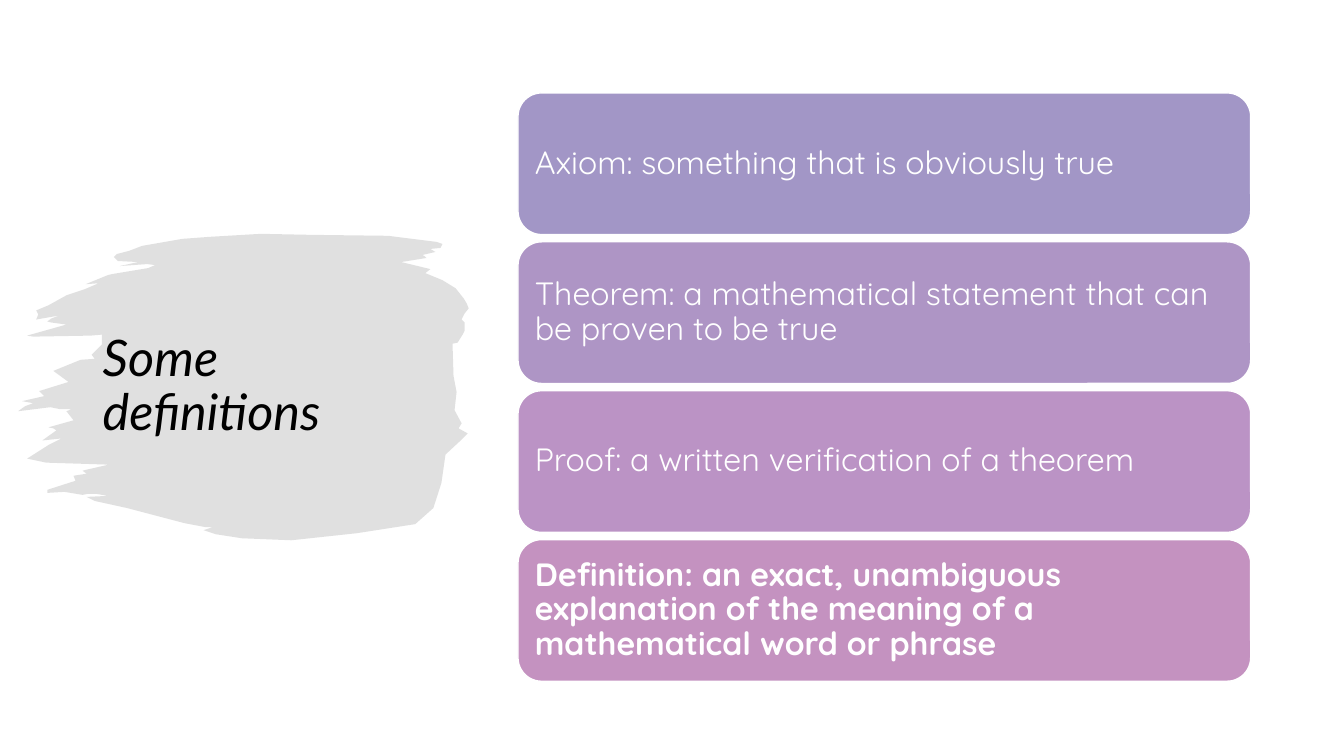
from dataclasses import dataclass

from lxml import etree
from pptx import Presentation
from pptx.dml.color import RGBColor
from pptx.enum import shapes, text
from pptx.oxml import ns
from pptx.util import Pt


@dataclass(frozen=True)
class Theme:
    head_font: str = "Lato"
    body_font: str = "Quicksand"
    head_size: float = 36
    body_size: float = 23
    ink: str = "000000"
    paper: str = "FFFFFF"
    brush: str = "D9D9D9"
    brush_alpha: int = 80
    cards: tuple = ("A296C6", "AE95C5", "BB93C5", "C492C0")


THEME = Theme()

CARDS = (
    "Axiom: something that is obviously true",
    "Theorem: a mathematical statement that can be proven to be true",
    "Proof: a written verification of a theorem",
    "Definition: an exact, unambiguous explanation of the meaning of a "
    "mathematical word or phrase",
)

# Outline of the brush stroke: x, y pairs in units of UNIT points
UNIT = 0.72
BRUSH = (
    259, 232, 307, 233, 385, 234, 433, 240, 439, 242, 437, 246, 427, 247,
    432, 250, 419, 253, 421, 254, 423, 256, 398, 260, 427, 267, 422, 271,
    439, 278, 452, 286, 460, 296, 463, 301, 465, 306, 461, 311, 458, 317,
    461, 320, 461, 328, 459, 332, 454, 340, 449, 341, 450, 373, 453, 389,
    451, 407, 458, 420, 455, 425, 464, 430, 456, 438, 442, 451, 438, 479,
    430, 504, 412, 520, 354, 529, 289, 536, 240, 534, 214, 530, 202, 526,
    211, 523, 204, 523, 183, 519, 126, 504, 94, 497, 86, 493, 107, 492,
    96, 490, 87, 490, 82, 491, 64, 488, 47, 489, 47, 486, 75, 477,
    73, 472, 86, 470, 82, 467, 86, 466, 108, 461, 46, 459, 27, 455,
    49, 441, 61, 435, 42, 437, 56, 427, 53, 425, 48, 424, 73, 417,
    66, 408, 71, 406, 65, 406, 60, 406, 50, 404, 18, 408, 25, 403,
    33, 400, 22, 398, 44, 393, 39, 388, 68, 379, 53, 368, 80, 357,
    94, 356, 91, 352, 101, 342, 101, 332, 90, 333, 33, 334, 27, 333,
    66, 322, 51, 320, 47, 319, 51, 316, 59, 313, 36, 317, 38, 312,
    36, 308, 48, 303, 66, 293, 84, 287, 98, 281, 85, 282, 107, 273,
    111, 272, 147, 266, 154, 263, 146, 262, 119, 264, 137, 260, 117, 259,
    113, 255, 116, 252, 128, 249, 141, 244, 181, 237, 208, 235,
)


def paint(shape, color):
    shape.shadow.inherit = False
    shape.fill.solid()
    shape.fill.fore_color.rgb = RGBColor.from_string(color)


def style(para, name, size, color):
    para.alignment = text.PP_ALIGN.LEFT
    para.line_spacing = 0.9
    para.font.name = name
    para.font.size = Pt(size)
    para.font.color.rgb = RGBColor.from_string(color)


def add_brush(slide):
    dots = list(zip(BRUSH[::2], BRUSH[1::2]))
    pen = slide.shapes.build_freeform(*dots[0], scale=Pt(UNIT))
    pen.add_line_segments(dots[1:], close=True)
    brush = pen.convert_to_shape()
    paint(brush, THEME.brush)
    brush.line.fill.background()
    tint = brush._element.spPr.find(".//" + ns.qn("a:srgbClr"))
    alpha = etree.SubElement(tint, ns.qn("a:alpha"))
    alpha.set("val", str(THEME.brush_alpha * 1000))


def set_title(slide, words):
    """Fill the title placeholder and raise it above the brush stroke."""
    title = slide.shapes.title
    title.left, title.top = Pt(66.2), Pt(118.1)
    title.width, title.height = Pt(253.4), Pt(316.8)
    frame = title.text_frame
    frame.text = words
    frame.word_wrap = True
    frame.auto_size = text.MSO_AUTO_SIZE.NONE
    frame.vertical_anchor = text.MSO_ANCHOR.MIDDLE
    para = frame.paragraphs[0]
    style(para, THEME.head_font, THEME.head_size, THEME.ink)
    para.font.italic = True
    slide.shapes._spTree.append(title._element)


def add_card(slide, top, words, color, bold):
    card = slide.shapes.add_shape(
        shapes.MSO_SHAPE.ROUNDED_RECTANGLE,
        Pt(370), Pt(top), Pt(523.4), Pt(101.2))
    paint(card, color)
    card.line.color.rgb = RGBColor.from_string(THEME.paper)
    card.line.width = Pt(1)
    frame = card.text_frame
    frame.text = words
    frame.word_wrap = True
    frame.vertical_anchor = text.MSO_ANCHOR.MIDDLE
    frame.margin_left = frame.margin_right = Pt(7.2)
    frame.margin_top = frame.margin_bottom = Pt(7.2)
    para = frame.paragraphs[0]
    style(para, THEME.body_font, THEME.body_size, THEME.paper)
    para.font.bold = bold


def main():
    deck = Presentation()
    deck.slide_width, deck.slide_height = Pt(960), Pt(540)
    slide = deck.slides.add_slide(deck.slide_layouts[5])
    add_brush(slide)
    set_title(slide, "Some definitions")
    for row, (words, color) in enumerate(zip(CARDS, THEME.cards)):
        add_card(slide, 66.4 + row * 106.35, words, color,
                 bold=words.startswith("Definition"))
    deck.save("out.pptx")


if __name__ == "__main__":
    main()
